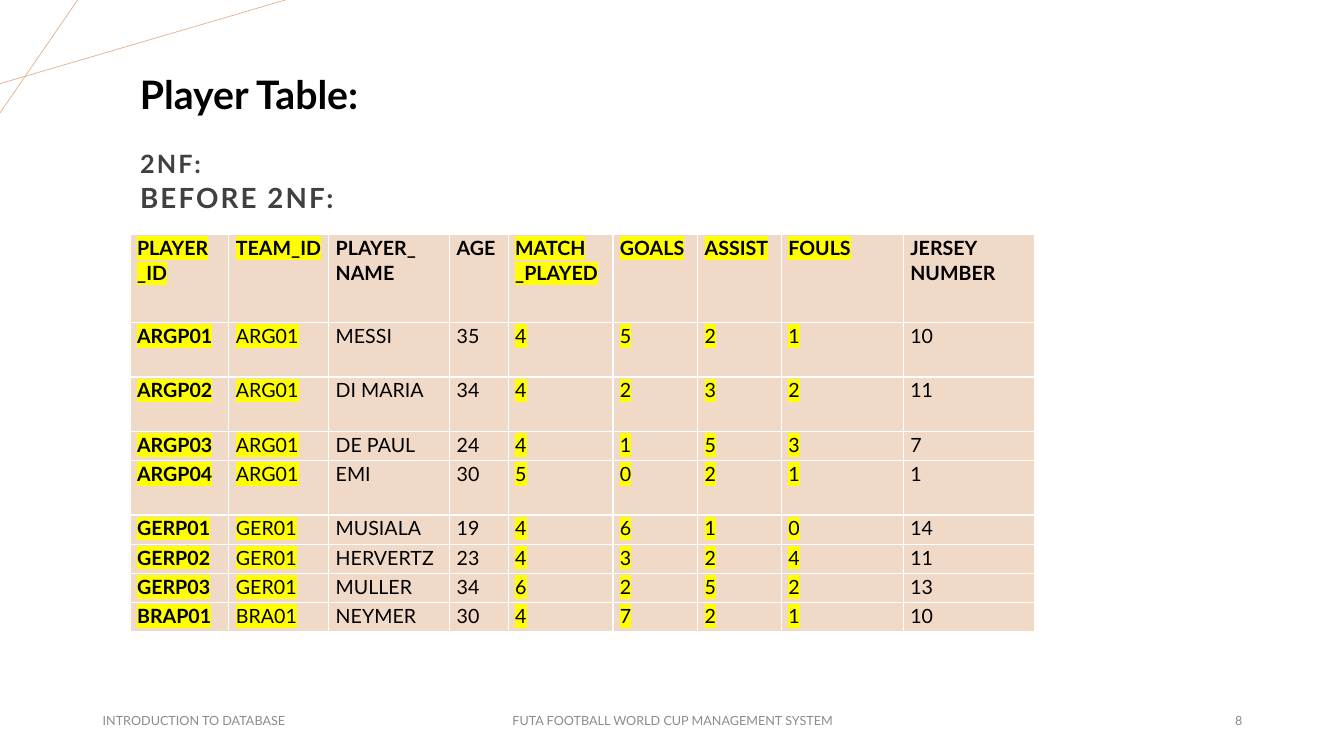
"""Build the player table slide on second normal form."""
from dataclasses import dataclass

from lxml import etree
from pptx import Presentation
from pptx.dml.color import RGBColor
from pptx.enum.shapes import MSO_CONNECTOR
from pptx.enum.text import MSO_ANCHOR, MSO_AUTO_SIZE, PP_ALIGN
from pptx.oxml.ns import qn
from pptx.util import Pt

LEFT, MID, RIGHT = PP_ALIGN.LEFT, PP_ALIGN.CENTER, PP_ALIGN.RIGHT
TOP, CENTER = MSO_ANCHOR.TOP, MSO_ANCHOR.MIDDLE
STRAIGHT = MSO_CONNECTOR.STRAIGHT
NO_FIT = MSO_AUTO_SIZE.NONE
PX = 9144


@dataclass(frozen=True)
class Theme:
    face: str = "Lato"
    ink: str = "000000"
    soft: str = "404040"
    gray: str = "8C8C8C"
    line: str = "E2B18D"
    cell: str = "F1D9C8"
    mark: str = "FFFF00"
    head: float = 28
    body: float = 14
    foot: float = 9
    lead: float = 1.07


THEME = Theme()

RAYS = [(0, 83, 283, 0), (77, 0, 0, 112)]
HEAD = "Player Table:"
TITLE = [("2NF:", 18), ("BEFORE 2NF:", 19.8)]
FEET = [
    ("INTRODUCTION TO DATABASE", 92, 300, LEFT),
    ("FUTA FOOTBALL WORLD CUP MANAGEMENT SYSTEM", 442, 450, MID),
    ("8", 942, 300, RIGHT),
]
ROWS = [
    ("PLAYER\n_ID", "TEAM_ID", "PLAYER_\nNAME", "AGE", "MATCH\n_PLAYED",
     "GOALS", "ASSIST", "FOULS", "JERSEY NUMBER"),
    ("ARGP01", "ARG01", "MESSI", 35, 4, 5, 2, 1, 10),
    ("ARGP02", "ARG01", "DI MARIA", 34, 4, 2, 3, 2, 11),
    ("ARGP03", "ARG01", "DE PAUL", 24, 4, 1, 5, 3, 7),
    ("ARGP04", "ARG01", "EMI", 30, 5, 0, 2, 1, 1),
    ("GERP01", "GER01", "MUSIALA", 19, 4, 6, 1, 0, 14),
    ("GERP02", "GER01", "HERVERTZ", 23, 4, 3, 2, 4, 11),
    ("GERP03", "GER01", "MULLER", 34, 6, 2, 5, 2, 13),
    ("BRAP01", "BRA01", "NEYMER", 30, 4, 7, 2, 1, 10),
]
WIDTHS = [98, 99, 120, 58, 104, 84, 83, 121, 130]
HEIGHTS = [87, 54, 54, 29, 54, 29, 29, 29, 29]
MARKED = {0, 1, 4, 5, 6, 7}


def px(*vals):
    return [val * PX for val in vals]


def style(font, size, color, bold=False):
    font.name, font.size, font.bold = THEME.face, Pt(size), bold
    font.color.rgb = RGBColor.from_string(color)


def add_ray(slide, ends):
    ray = slide.shapes.add_connector(STRAIGHT, *px(*ends))
    ray.line.color.rgb = RGBColor.from_string(THEME.line)
    ray.line.width = Pt(0.5)
    etree.SubElement(ray._element.spPr, qn("a:effectLst"))


def add_text(slide, text, box, size, color, bold=False, align=LEFT, anchor=TOP):
    frame = slide.shapes.add_textbox(*px(*box)).text_frame
    frame.word_wrap, frame.vertical_anchor = True, anchor
    para = frame.paragraphs[0]
    para.text, para.alignment = text, align
    style(para.font, size, color, bold)


def fill_title(shape):
    shape.left, shape.top, shape.width, shape.height = px(129, 139, 378, 79)
    frame = shape.text_frame
    frame.auto_size, frame.vertical_anchor = NO_FIT, CENTER
    para = frame.paragraphs[0]
    para.alignment, para.line_spacing = LEFT, THEME.lead
    for pos, (text, size) in enumerate(TITLE):
        if pos:
            para.add_line_break()
        run = para.add_run()
        run.text = text
        style(run.font, size, THEME.soft, True)
        run._r.get_or_add_rPr().set("spc", "150")


def fill_cell(cell, text, bold, marked):
    cell.fill.solid()
    cell.fill.fore_color.rgb = RGBColor.from_string(THEME.cell)
    cell.margin_left, cell.margin_right = px(7, 7)
    cell.margin_top = cell.margin_bottom = 0
    cell.text = str(text)
    for para in cell.text_frame.paragraphs:
        para.line_spacing = THEME.lead
        run = para.runs[0]
        style(run.font, THEME.body, THEME.ink, bold)
        if marked:
            mark = etree.Element(qn("a:highlight"))
            etree.SubElement(mark, qn("a:srgbClr"), val=THEME.mark)
            run._r.rPr.find(qn("a:solidFill")).addnext(mark)


def add_grid(slide):
    size = px(129, 233, sum(WIDTHS), sum(HEIGHTS))
    grid = slide.shapes.add_table(len(ROWS), len(WIDTHS), *size).table
    grid.horz_banding = False
    for col, width in zip(grid.columns, WIDTHS):
        col.width = width * PX
    for row, height in zip(grid.rows, HEIGHTS):
        row.height = height * PX
    for r, vals in enumerate(ROWS):
        for c, val in enumerate(vals):
            fill_cell(grid.cell(r, c), val, r == 0 or c == 0, c in MARKED)


def main():
    deck = Presentation()
    deck.slide_width, deck.slide_height = px(1333, 750)
    slide = deck.slides.add_slide(deck.slide_layouts[5])
    for ends in RAYS:
        add_ray(slide, ends)
    fill_title(slide.shapes.title)
    for text, left, width, align in FEET:
        add_text(slide, text, (left, 695, width, 40), THEME.foot, THEME.gray,
                 align=align, anchor=CENTER)
    add_grid(slide)
    add_text(slide, HEAD, (129, 65, 313, 57), THEME.head, THEME.ink, True)
    deck.save("out.pptx")


if __name__ == "__main__":
    main()
